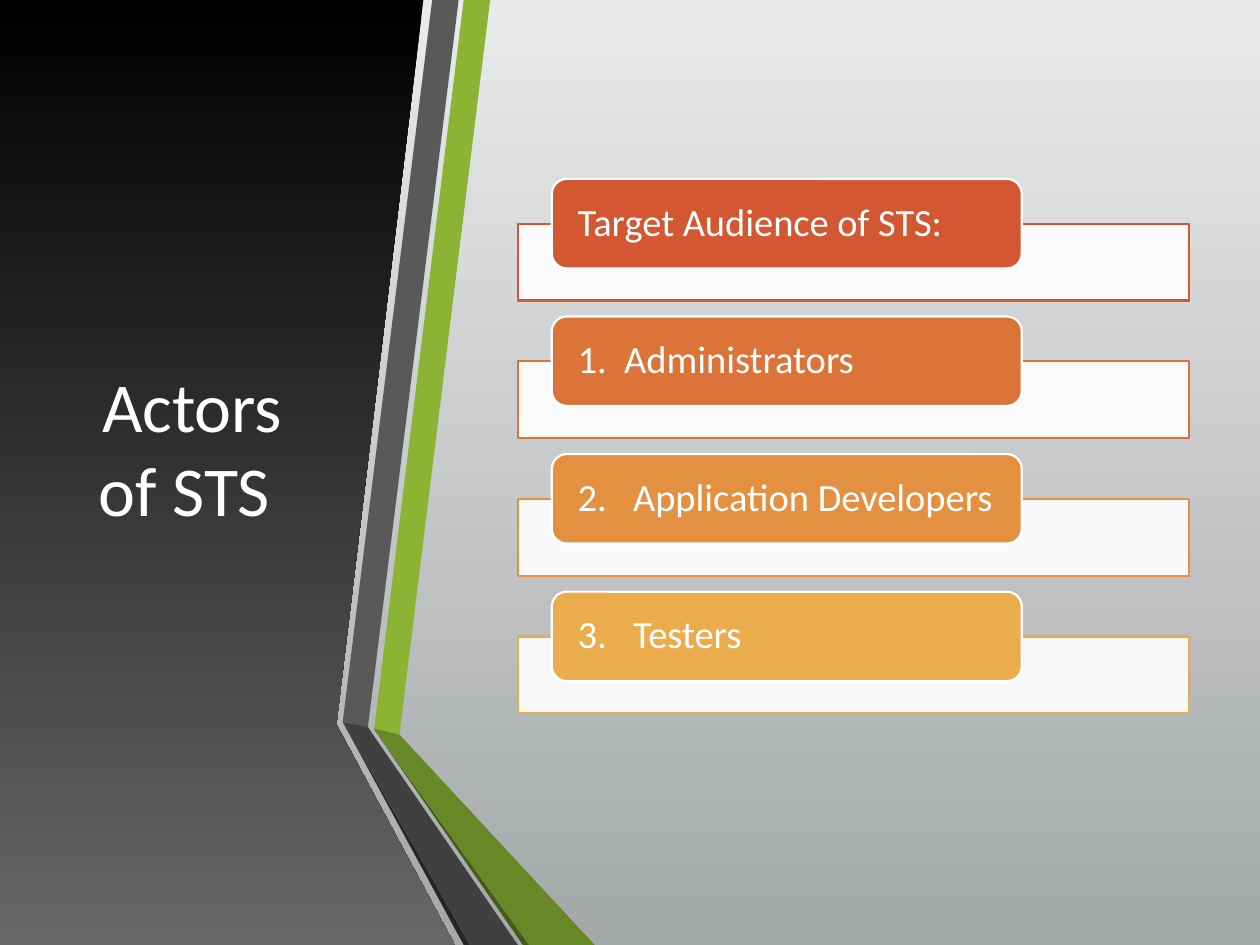
from dataclasses import dataclass
from lxml.etree import SubElement
from pptx import Presentation
from pptx.dml.color import RGBColor
from pptx.enum.shapes import MSO_SHAPE
from pptx.enum.text import MSO_ANCHOR, PP_ALIGN
from pptx.oxml.ns import qn
from pptx.util import Inches, Pt

UNIT = Inches(0.1)  # grid cell: 100 columns by 75 rows
COLUMNS, ROWS = 100, 75


def cells(count):
    return round(count * UNIT)


def color(hex_code):
    return RGBColor.from_string(hex_code)


def paint(fill, colors):
    """Fill with one colour, or with a (top, bottom) gradient."""
    if isinstance(colors, str):
        fill.solid()
        fill.fore_color.rgb = color(colors)
        return
    fill.gradient()
    fill.gradient_angle = 270
    for stop, shade in zip(fill.gradient_stops, colors):
        stop.color.rgb = color(shade)


@dataclass
class Deck:
    slide: object
    font: str = "Calibri"
    ink: str = "FFFFFF"
    line_width: float = 1.25

    def finish(self, shape, fill, line=None):
        shape.shadow.inherit = False
        paint(shape.fill, fill)
        if line:
            shape.line.color.rgb = color(line)
            shape.line.width = Pt(self.line_width)
        else:
            shape.line.fill.background()
        return shape

    def box(self, area, fill, line=None, preset=MSO_SHAPE.RECTANGLE, alpha=None):
        shape = self.slide.shapes.add_shape(preset, *map(cells, area))
        self.finish(shape, fill, line)
        if alpha:
            solid = shape.element.spPr.find(qn("a:solidFill"))
            SubElement(solid[0], qn("a:alpha")).set("val", str(alpha * 1000))
        return shape

    def polygon(self, points, fill):
        corners = [(cells(x), cells(y)) for x, y in points]
        builder = self.slide.shapes.build_freeform(*corners[0])
        builder.add_line_segments(corners[1:], close=True)
        return self.finish(builder.convert_to_shape(), fill)

    def set_text(self, frame, text, size, align):
        frame.word_wrap = True
        frame.vertical_anchor = MSO_ANCHOR.MIDDLE
        paragraph = frame.paragraphs[0]
        paragraph.text = text
        paragraph.alignment = align
        paragraph.font.name = self.font
        paragraph.font.size = Pt(size)
        paragraph.font.color.rgb = color(self.ink)
        return paragraph

    def title(self, area, text, size):
        frame = self.slide.shapes.add_textbox(*map(cells, area)).text_frame
        self.set_text(frame, text, size, PP_ALIGN.CENTER)

    def card(self, top, text, accent, hang):
        self.box((41.1, top + 3.55, 53.3, 6.1), "FFFFFF", accent, alpha=90)
        label = self.box((43.8, top, 37.3, 7.1), accent, self.ink,
                         MSO_SHAPE.ROUNDED_RECTANGLE)
        frame = label.text_frame
        frame.margin_left = frame.margin_right = cells(1.7)
        frame.margin_top = frame.margin_bottom = 0
        paragraph = self.set_text(frame, text, 22, PP_ALIGN.LEFT)
        paragraph.line_spacing = 0.9
        # Hanging indent: the tab after the number lands on the left margin
        properties = paragraph._p.get_or_add_pPr()
        properties.set("marL", str(cells(hang)))
        properties.set("indent", str(-cells(hang)))


BACKDROP = ("E9EAEB", "A5A8A9")
SIDE_PANEL = [(0, 0), (33.6, 0), (26.7, 57.5), (36.1, ROWS), (0, ROWS)]
RIBBONS = [
    ("8BB434", [(29.7, 57.8), (31.7, 58.3), (38.9, 0), (36.8, 0)]),
    ("595959", [(36.4, 0), (34.3, 0), (27.2, 57.3), (29.2, 57.7)]),
    ("262626", [(27.2, 57.3), (36.8, ROWS), (37.3, ROWS)]),
    ("465A1A", [(29.7, 57.9), (41.5, ROWS), (42, ROWS)]),
    ("688727", [(29.7, 57.9), (42, ROWS), (47.2, ROWS), (31.7, 58.3), (29.7, 57.8)]),
    ("404040", [(41.1, ROWS), (29.6, 58.3), (29.2, 57.7), (27.2, 57.3), (37.3, ROWS)]),
]
# Label, accent colour, hanging indent in columns
ACTORS = [
    ("Target Audience of STS:", "D35731", 0),
    ("1.\tAdministrators", "DC7339", 3.7),
    ("2.\tApplication Developers", "E49041", 4.4),
    ("3.\tTesters", "EBAC4B", 4.4),
]
FIRST_CARD, CARD_STEP = 14.2, 10.92


def main():
    presentation = Presentation()
    presentation.slide_width = cells(COLUMNS)
    presentation.slide_height = cells(ROWS)
    deck = Deck(presentation.slides.add_slide(presentation.slide_layouts[6]))

    # Backdrop and dark side panel
    paint(deck.slide.background.fill, BACKDROP)
    deck.box((0, 0, COLUMNS, ROWS), BACKDROP)
    deck.polygon(SIDE_PANEL, ("000000", "676767"))

    # Title
    deck.title((4.4, 7.5, 21.7, 55.8), "Actors of STS ", 40)

    # Folded ribbons
    for shade, points in RIBBONS:
        deck.polygon(points, shade)

    # Audience cards
    for row, (text, accent, hang) in enumerate(ACTORS):
        deck.card(FIRST_CARD + row * CARD_STEP, text, accent, hang)

    presentation.save("out.pptx")


if __name__ == "__main__":
    main()
